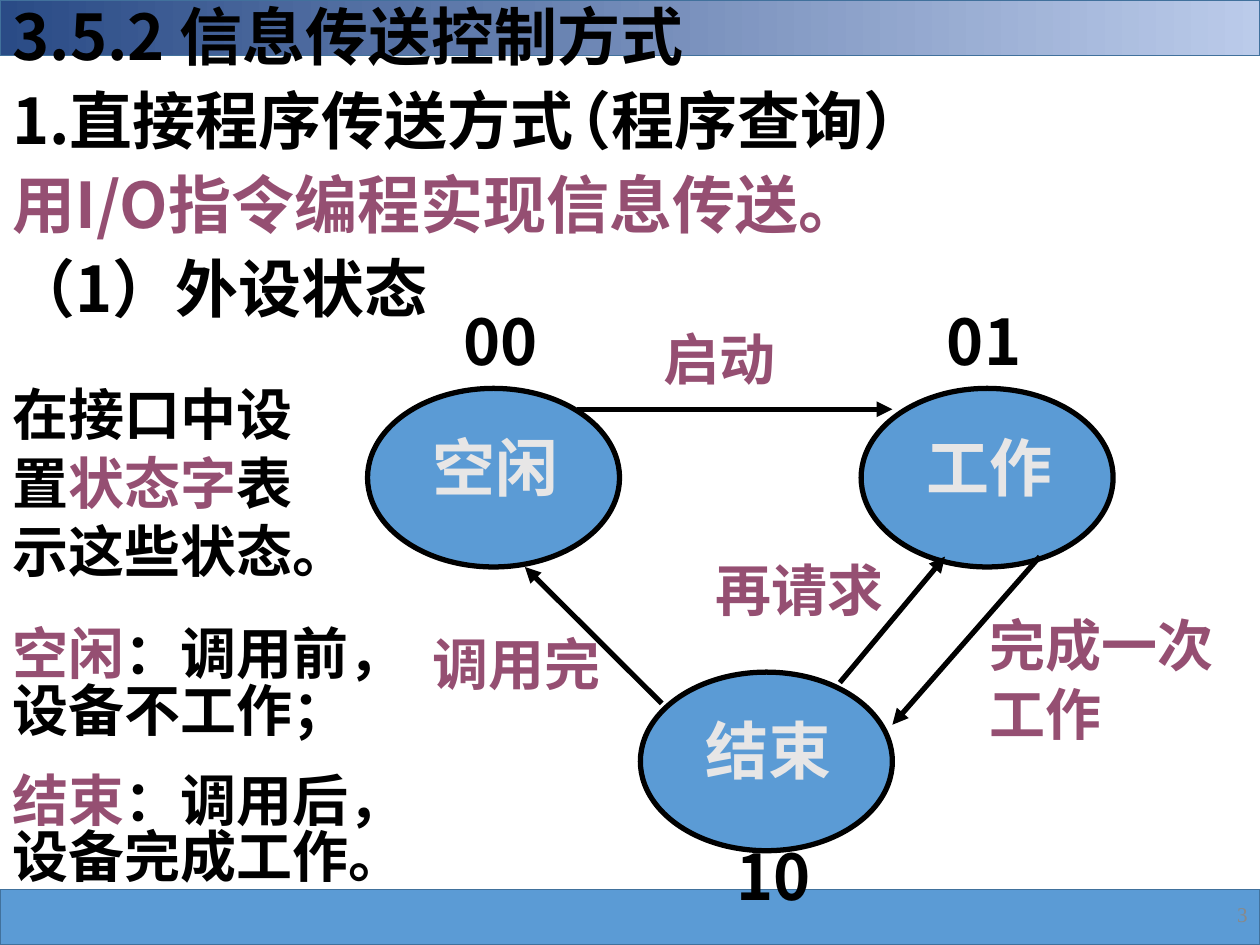
from lxml.etree import SubElement
from pptx import Presentation
from pptx.dml.color import RGBColor
from pptx.enum.shapes import MSO_CONNECTOR, MSO_SHAPE
from pptx.enum.text import MSO_ANCHOR, MSO_AUTO_SIZE, PP_ALIGN
from pptx.oxml.ns import qn
from pptx.util import Cm, Pt

BLACK = RGBColor(0x00, 0x00, 0x00)
PLUM = RGBColor(0x95, 0x4F, 0x72)
PALE = RGBColor(0xE7, 0xE6, 0xE6)
GREY = RGBColor(0x89, 0x89, 0x89)
BLUE = RGBColor(0x5B, 0x9B, 0xD5)
EDGE = RGBColor(0x41, 0x71, 0x9C)
NAVY = RGBColor(0x2A, 0x4B, 0x86)
SKY = RGBColor(0xBB, 0xCB, 0xEA)
SANS, SERIF = "Noto Sans CJK SC", "Times New Roman"
W, H = 25.4, 19.05


def write(tf, paragraphs, size=32, font=SERIF, color=BLACK, bold=True,
          spacing=0.84, before=0, align=PP_ALIGN.LEFT):
    """Fill a text frame; each paragraph is a string or a list of (text, color)."""
    tf.word_wrap = True
    tf.auto_size = MSO_AUTO_SIZE.NONE
    tf.vertical_anchor = MSO_ANCHOR.TOP
    tf.margin_left = tf.margin_right = Cm(0.25)
    tf.margin_top, tf.margin_bottom = Cm(0.2), Cm(0.13)
    for i, runs in enumerate(paragraphs):
        p = tf.add_paragraph() if i else tf.paragraphs[0]
        p.alignment, p.line_spacing = align, spacing
        p.space_before = Pt(before if i else 0)
        for text, tint in [(runs, color)] if isinstance(runs, str) else runs:
            r = p.add_run()
            r.text = text
            r.font.size, r.font.bold, r.font.name = Pt(size), bold, font
            r.font.color.rgb = tint
            SubElement(r.font._element, qn("a:ea")).set("typeface", SANS)


class Page:
    def __init__(self, prs):
        self.s = prs.slides.add_slide(prs.slide_layouts[1])

    def place(self, sp, x, y, w, h):
        sp.left, sp.top, sp.width, sp.height = Cm(x), Cm(y), Cm(w), Cm(h)

    def bar(self, y):
        sp = self.shape(self.s.shapes, MSO_SHAPE.RECTANGLE, 0, y, W, 1.12, EDGE, 1)
        self.s.shapes._spTree.insert(2, sp._element)
        return sp

    def shape(self, shapes, kind, x, y, w, h, edge, weight):
        sp = shapes.add_shape(kind, Cm(x), Cm(y), Cm(w), Cm(h))
        sp.shadow.inherit = False
        sp.fill.solid()
        sp.fill.fore_color.rgb = BLUE
        sp.line.color.rgb, sp.line.width = edge, Pt(weight)
        return sp

    def title(self, text, x, y, w, h):
        sp = self.s.shapes.title
        self.place(sp, x, y, w, h)
        write(sp.text_frame, [text], size=36, font=SANS)

    def body(self, paragraphs, x, y, w, h, **style):
        sp = self.s.placeholders[1]
        self.place(sp, x, y, w, h)
        write(sp.text_frame, paragraphs, **style)
        for p in sp.text_frame.paragraphs:
            pPr = p._p.get_or_add_pPr()
            pPr.set("marL", "0")
            pPr.set("indent", "0")
            SubElement(pPr, qn("a:buNone"))

    def text(self, paragraphs, x, y, w, h=1.78, shapes=None, **style):
        sp = (shapes or self.s.shapes).add_textbox(Cm(x), Cm(y), Cm(w), Cm(h))
        write(sp.text_frame, paragraphs, **style)

    def state(self, name, x, y):
        shapes = self.s.shapes.add_group_shape().shapes
        self.shape(shapes, MSO_SHAPE.OVAL, x, y, 5.08, 3.6, BLACK, 3)
        self.text([name], x + 1.06, y + 0.85, 4.65, shapes=shapes, size=36, color=PALE)

    def arrow(self, x1, y1, x2, y2):
        c = self.s.shapes.add_connector(MSO_CONNECTOR.STRAIGHT,
                                        Cm(x1), Cm(y1), Cm(x2), Cm(y2))
        c.line.color.rgb, c.line.width = BLACK, Pt(3)
        SubElement(c.line._get_or_add_ln(), qn("a:tailEnd")).set("type", "triangle")
        SubElement(c._element.spPr, qn("a:effectLst"))


def main():
    prs = Presentation()
    prs.slide_width, prs.slide_height = Cm(W), Cm(H)
    page = Page(prs)

    # Top and bottom bars
    page.bar(H - 1.12)
    fill = page.bar(0).fill
    fill.gradient()
    fill.gradient_angle = 0
    for stop, color in zip(fill.gradient_stops, (NAVY, SKY)):
        stop.color.rgb = color

    # Headings
    page.title("3.5.2 信息传送控制方式", 0, 0, 19.05, 1.78)
    for text, x, y, w, color in [
        ("1.直接程序传送方式", 0, 1.7, 19.05, BLACK),
        ("用I/O指令编程实现信息传送。", 0, 3.38, 19.05, PLUM),
        ("（程序查询）", 10.8, 1.7, 11, BLACK),
        ("（1）外设状态", 0, 5.08, 11.86, BLACK),
    ]:
        page.text([text], x, y, w, size=36, font=SANS, color=color)

    # States and their codes
    for name, x, y in [("空闲", 7.41, 7.83), ("工作", 17.36, 7.83), ("结束", 12.91, 13.55)]:
        page.state(name, x, y)
    for code, x, y in [("00", 9.1, 6.14), ("01", 18.84, 6.14), ("10", 14.6, 16.93)]:
        page.text([code], x, y, 2.54, size=36, font=SANS)

    # Transitions
    for ends in [(11.64, 8.25, 17.99, 8.25), (20.96, 11.22, 17.99, 14.61),
                 (13.34, 14.18, 10.58, 11.43), (16.93, 13.76, 19.05, 11.22)]:
        page.arrow(*ends)
    for label, x, y in [("启动", 13.12, 6.56), ("调用完", 8.47, 12.7), ("再请求", 14.18, 11.22)]:
        page.text([label], x, y, 5.08, 1.63, color=PLUM)
    tight = dict(spacing=0.5, before=20)
    page.text(["完成一次", "工作"], 19.69, 12.7, 6.99, 2.6, color=PLUM, **tight)

    # Explanation on the left
    page.body(["在接口中设",
               [("置", BLACK), ("状态字", PLUM), ("表", BLACK)],
               "示这些状态。"], 0, 8.04, 8.89, 4.11, **tight)
    for term, meaning, y in [("空闲", "：调用前，设备不工作；", 12.49),
                             ("结束", "：调用后，设备完成工作。", 15.45)]:
        page.text([[(term, PLUM), (meaning, BLACK)]], 0, y, 8.89, 2.97)

    # Slide number
    page.text(["3"], 23.4, 17.97, 2, 0.9, size=12, color=GREY, bold=False,
              spacing=1, align=PP_ALIGN.RIGHT)
    prs.save("out.pptx")


if __name__ == "__main__":
    main()
